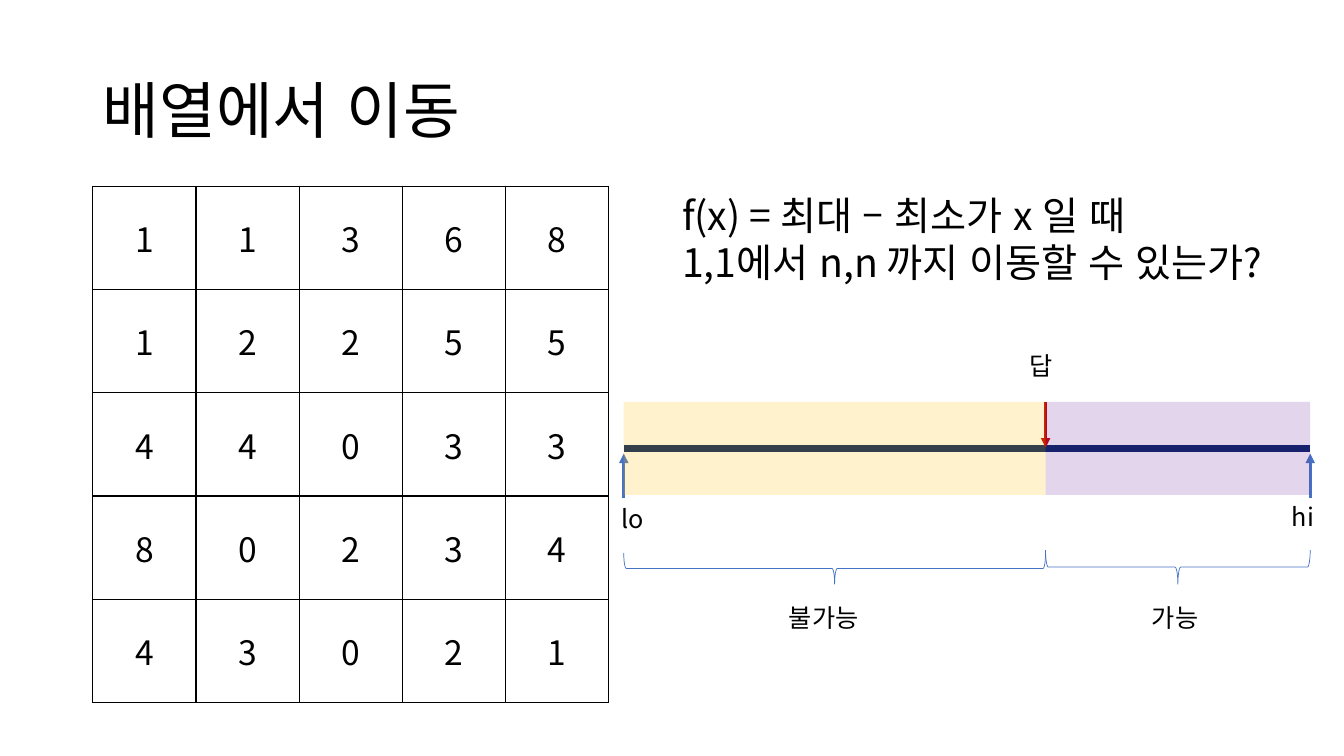
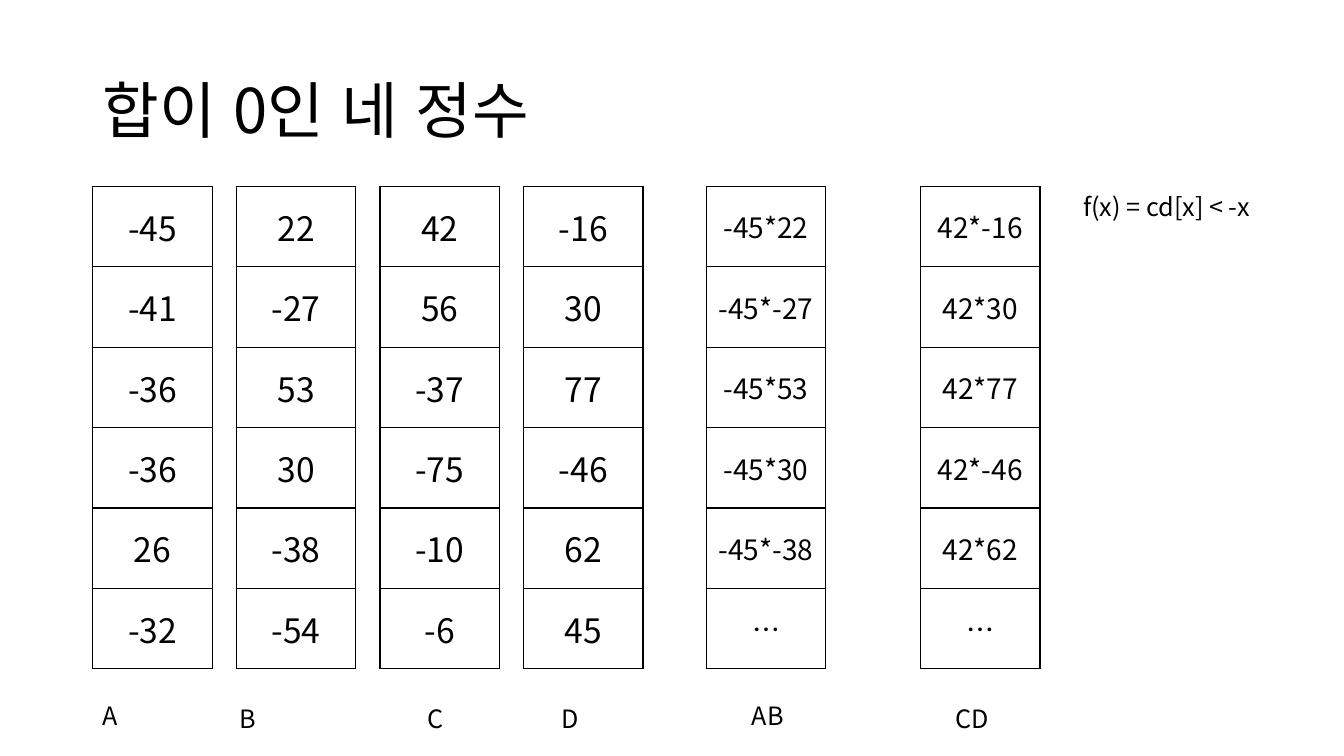
from dataclasses import dataclass
from typing import Optional, Sequence

from pptx import Presentation
from pptx.dml.color import RGBColor
from pptx.enum.lang import MSO_LANGUAGE_ID as Lang
from pptx.enum.shapes import MSO_CONNECTOR as Conn, MSO_SHAPE as Shape
from pptx.enum.text import MSO_ANCHOR as Anchor, MSO_AUTO_SIZE as AutoSize, PP_ALIGN as Align
from pptx.oxml.ns import qn
from pptx.oxml.xmlchemy import OxmlElement
from pptx.util import Cm, Pt

FONT = "Noto Sans CJK KR"
BLACK, NAVY, BLUE, RED = "000000", "002060", "4472C4", "C00000"
AMBER, PURPLE = "FFC000", "7030A0"

LEFT, TOP = 2.34, 4.7  # corner of the content area
LO_X, ANSWER_X, HI_X = 15.72, 26.35, 33.02
BAND_TOP, BAND_HEIGHT = 10.13, 2.34
AXIS_Y = BAND_TOP + BAND_HEIGHT / 2
BRACE_BOTTOM = 14.72

GRID = [
    "11368",
    "12255",
    "44033",
    "80234",
    "43210",
]
GRID[-1] = "43021"


@dataclass(frozen=True)
class Label:
    text: str
    x: float
    y: float
    width: float
    height: float = 1.02
    size: int = 18
    wrap: bool = True


@dataclass(frozen=True)
class Arrow:
    x: float
    start_y: float
    end_y: float
    color: str


@dataclass(frozen=True)
class Segment:
    """One part of the search range: its tinted band and its brace."""
    start: float
    end: float
    color: str
    brace_depth: float


@dataclass(frozen=True)
class Column:
    """A table column; one without values is a gap between its neighbours."""
    width: float
    values: Sequence[str] = ()


GRID_COLUMNS = [Column(2.6, values) for values in zip(*GRID)]

FORMULA = Label("f(x) = 최대 – 최소가 x 일 때\n1,1에서 n,n 까지 이동할 수 있는가?",
                16.94, TOP, 16.38, 2.64, 28, False)
RANGE_LABELS = [
    Label("lo", 15.42, 12.55, 1.83),
    Label("hi", 32.31, 12.5, 1.47),
    Label("답", 25.7, 8.71, 2.79),
    Label("불가능", 19.63, 15.06, 2.77),
    Label("가능", 28.78, 15.06, 2.77),
]
ARROWS = [
    Arrow(LO_X, 12.55, 11.43, BLUE),
    Arrow(HI_X, 12.55, 11.43, BLUE),
    Arrow(ANSWER_X, BAND_TOP, 11.28, RED),
]
SEGMENTS = [
    Segment(LO_X, ANSWER_X, AMBER, 0.79),
    Segment(ANSWER_X, HI_X, PURPLE, 0.86),
]

NUMBER_WIDTH = 3.01
GAP = Column(0.6)
NUMBER_COLUMNS = [
    Column(NUMBER_WIDTH, ["-45", "-41", "-36", "-36", "26", "-32"]),
    GAP,
    Column(NUMBER_WIDTH, ["22", "-27", "53", "30", "-38", "-54"]),
    GAP,
    Column(NUMBER_WIDTH, ["42", "56", "-37", "-75", "-10", "-6"]),
    GAP,
    Column(NUMBER_WIDTH, ["-16", "30", "77", "-46", "62", "45"]),
]
PAIR_COLUMNS = [
    Column(NUMBER_WIDTH, ["-45*22", "-45*-27", "-45*53", "-45*30", "-45*-38", "…"]),
    Column(2.39),
    Column(NUMBER_WIDTH, ["42*-16", "42*30", "42*77", "42*-46", "42*62", "…"]),
]
COLUMN_LABELS = [
    Label("A", 2.34, 17.53, 0.94, wrap=False),
    Label("B", 5.79, 17.6, 0.89, wrap=False),
    Label("C", 10.52, 17.6, 0.94, wrap=False),
    Label("D", 13.9, 17.6, 0.97, wrap=False),
    Label("AB", 18.7, 17.53, 1.32, wrap=False),
    Label("CD", 23.83, 17.6, 1.37, wrap=False),
]
CONDITION = Label("f(x) = cd[x] < -x", 27.05, TOP, 5.36)


def rgb(color: str) -> RGBColor:
    return RGBColor.from_string(color)


def set_text(tf, text: str, size: int) -> None:
    tf.text = text
    for p in tf.paragraphs:
        for r in p.runs:
            r.font.name = FONT
            r.font.size = Pt(size)
            r.font.color.rgb = rgb(BLACK)
            r.font.language_id = Lang.KOREAN
            ea = OxmlElement("a:ea")
            ea.set("typeface", FONT)
            r.font._element.find(qn("a:latin")).addnext(ea)


def add_label(slide, label: Label):
    s = slide.shapes.add_textbox(Cm(label.x), Cm(label.y), Cm(label.width), Cm(label.height))
    tf = s.text_frame
    set_text(tf, label.text, label.size)
    tf.word_wrap = label.wrap
    tf.auto_size = AutoSize.SHAPE_TO_FIT_TEXT
    return s


def add_titled_slide(prs, title: str):
    slide = prs.slides.add_slide(prs.slide_layouts[6])
    s = add_label(slide, Label(title, LEFT, 1.02, 29.21, 3.68, 44))
    tf = s.text_frame
    tf.auto_size = AutoSize.NONE
    tf.vertical_anchor = Anchor.MIDDLE
    tf.paragraphs[0].line_spacing = 0.9
    return slide


def set_borders(cell, visible: str) -> None:
    """Draw the sides named in visible (from L, R, T, B) and clear the others."""
    tc_pr = cell._tc.get_or_add_tcPr()
    for i, side in enumerate("LRTB"):
        ln = OxmlElement(f"a:ln{side}")
        ln.set("w", str(Pt(1)))
        if side in visible:
            fill = OxmlElement("a:solidFill")
            color = OxmlElement("a:srgbClr")
            color.set("val", BLACK)
            fill.append(color)
        else:
            fill = OxmlElement("a:noFill")
        ln.append(fill)
        tc_pr.insert(i, ln)


def add_columns(slide, columns: Sequence[Column], x: float, row_height: float, size: int):
    rows = max(len(column.values) for column in columns)
    width = sum(column.width for column in columns)
    table = slide.shapes.add_table(rows, len(columns), Cm(x), Cm(TOP),
                                   Cm(width), Cm(rows * row_height)).table
    table.first_row = table.horz_banding = False
    for row in table.rows:
        row.height = Cm(row_height)
    for i, column in enumerate(columns):
        table.columns[i].width = Cm(column.width)
        for j in range(rows):
            cell = table.cell(j, i)
            cell.fill.background()
            set_borders(cell, "LRTB" if column.values else "LR")
            if column.values:
                set_text(cell.text_frame, column.values[j], size)
                cell.vertical_anchor = Anchor.MIDDLE
                cell.text_frame.paragraphs[0].alignment = Align.CENTER
    return table


def add_line(slide, x1: float, y1: float, x2: float, y2: float,
             color: str, width: float, head: Optional[str] = None):
    c = slide.shapes.add_connector(Conn.STRAIGHT, Cm(x1), Cm(y1), Cm(x2), Cm(y2))
    c.line.color.rgb = rgb(color)
    c.line.width = Pt(width)
    sp_pr = c._element.spPr
    if head:
        tail = OxmlElement("a:tailEnd")
        tail.set("type", head)
        sp_pr.find(qn("a:ln")).append(tail)
    sp_pr.append(OxmlElement("a:effectLst"))
    return c


def add_band(slide, segment: Segment):
    s = slide.shapes.add_shape(Shape.RECTANGLE, Cm(segment.start), Cm(BAND_TOP),
                               Cm(segment.end - segment.start), Cm(BAND_HEIGHT))
    s.shadow.inherit = False
    s.fill.solid()
    s.fill.fore_color.rgb = rgb(segment.color)
    alpha = OxmlElement("a:alpha")
    alpha.set("val", "20000")
    s._element.spPr.find(qn("a:solidFill"))[0].append(alpha)
    s.line.fill.background()
    return s


def add_brace(slide, segment: Segment) -> None:
    """Turn a left brace so that it opens upwards under its segment."""
    depth, length = segment.brace_depth, segment.end - segment.start
    middle_x = (segment.start + segment.end) / 2
    middle_y = BRACE_BOTTOM - depth / 2
    s = slide.shapes.add_shape(Shape.LEFT_BRACE, Cm(middle_x - depth / 2),
                               Cm(middle_y - length / 2), Cm(depth), Cm(length))
    s.rotation = 270
    s.shadow.inherit = False
    s.fill.background()
    s.line.color.rgb = rgb(BLUE)
    s.line.width = Pt(0.5)


def build_grid_slide(prs) -> None:
    slide = add_titled_slide(prs, "배열에서 이동")
    add_columns(slide, GRID_COLUMNS, LEFT, 2.6, 24)
    add_label(slide, FORMULA)
    axis = add_line(slide, LO_X, AXIS_Y, HI_X, AXIS_Y, NAVY, 4.5)
    for arrow in ARROWS:
        add_line(slide, arrow.x, arrow.start_y, arrow.x, arrow.end_y,
                 arrow.color, 2.25, "triangle")
    bands = [add_band(slide, segment) for segment in SEGMENTS]
    axis.begin_connect(bands[0], 1)
    axis.end_connect(bands[-1], 3)
    for segment in SEGMENTS:
        add_brace(slide, segment)
    for label in RANGE_LABELS:
        add_label(slide, label)


def build_sum_slide(prs) -> None:
    slide = add_titled_slide(prs, "합이 0인 네 정수")
    add_columns(slide, NUMBER_COLUMNS, LEFT, 2.025, 24)
    pairs = add_columns(slide, PAIR_COLUMNS, 17.8, 2.025, 20)
    pairs.cell(2, 1).merge(pairs.cell(3, 1))
    for label in [*COLUMN_LABELS, CONDITION]:
        add_label(slide, label)


def main() -> None:
    prs = Presentation()
    prs.slide_width, prs.slide_height = Cm(33.87), Cm(19.05)
    build_grid_slide(prs)
    build_sum_slide(prs)
    prs.save("out.pptx")


if __name__ == "__main__":
    main()
